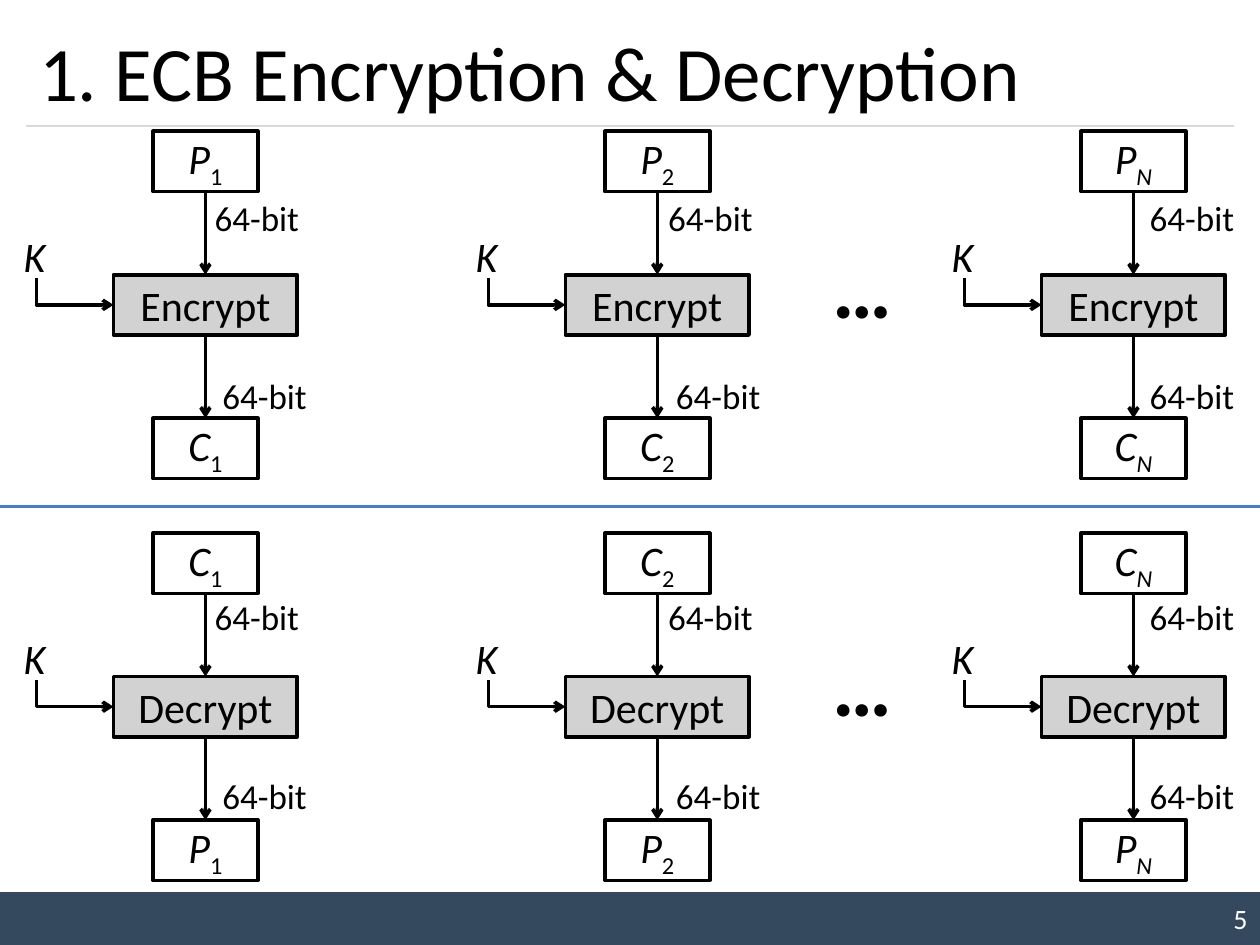
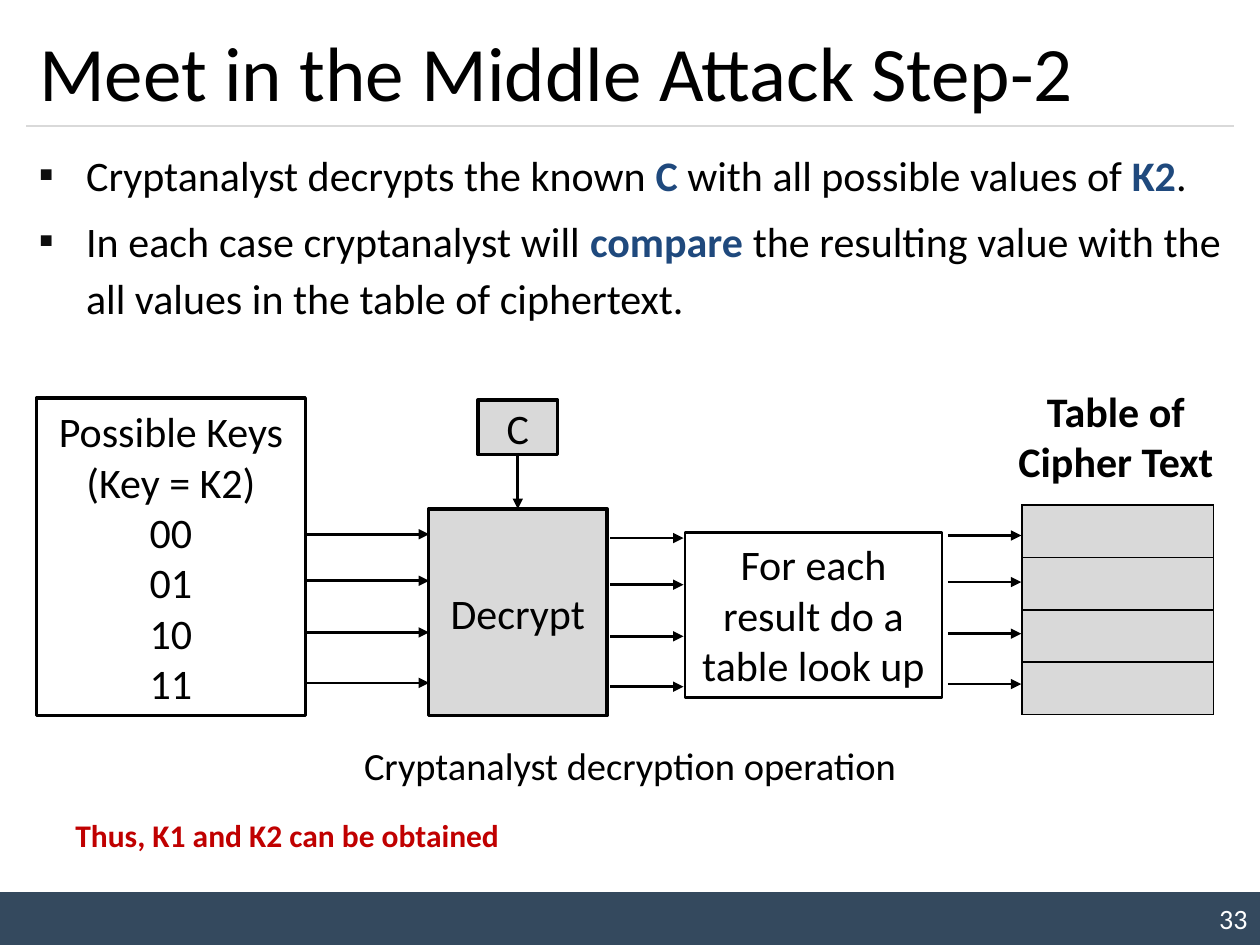
from pptx import Presentation
from pptx.dml.color import RGBColor
from pptx.enum.shapes import MSO_CONNECTOR, MSO_SHAPE
from pptx.enum.text import MSO_ANCHOR as Anchor, MSO_AUTO_SIZE, PP_ALIGN as Align
from pptx.oxml.ns import qn
from pptx.util import Pt
from lxml.etree import SubElement

# ---- Shared look ----
FONT = "Calibri"
BLACK = RGBColor(0, 0, 0)
WHITE = RGBColor(0xFF, 0xFF, 0xFF)
BAND = RGBColor(0x34, 0x49, 0x5E)
RULE = RGBColor(0xD9, 0xD9, 0xD9)
CIPHER_GREY = RGBColor(0xD3, 0xD2, 0xD2)
ATTACK_GREY = RGBColor(0xD9, 0xD9, 0xD9)
DIVIDER = RGBColor(0x4B, 0x7E, 0xBC)
NAVY = RGBColor(0x1F, 0x49, 0x7D)
RED = RGBColor(0xC0, 0, 0)
SLIDE_W, SLIDE_H = 720, 540
MARGIN, CONTENT_W = 15.12, 689.76

# ---- Content: ECB ----
ECB_TITLE = "1. ECB Encryption & Decryption"
ECB_HALVES = [
    dict(top=75, source="P", action="Encrypt", result="C", dots_top=130.3,
         width_tops=(108.6, 210.2)),
    dict(top=304.6, source="C", action="Decrypt", result="P", dots_top=357.8,
         width_tops=(337, 439)),
]
# index, centre of the column, left edges of its two bit-width labels
ECB_COLUMNS = [
    ("1", 117.4, (113, 117.4)),
    ("2", 375.6, (372.2, 376.6)),
    ("N", 647.7, (647.3, 647.3)),
]
BIT_WIDTH = "64-bit"
KEY = "K"
DOTS = "…"

# ---- Content: meet in the middle ----
ATTACK_TITLE = "Meet in the Middle Attack Step-2"
ATTACK_POINTS = [
    [("Cryptanalyst decrypts the known ", False), ("C", True),
     (" with all possible values of ", False), ("K2", True), (".", False)],
    [("In each case cryptanalyst will ", False), ("compare", True),
     (" the resulting value with the all values in the table of ciphertext.", False)],
]
POSSIBLE_KEYS = ["Possible Keys", "(Key = K2)", "00", "01", "10", "11"]
LOOK_UP = "For each result do a table look up"
TABLE_HEADING = "Table of Cipher Text"
CAPTION = "Cryptanalyst decryption operation"
CONCLUSION = "Thus, K1 and K2 can be obtained"
TABLE_ROWS = 4
ARROW_ROWS = [305.3, 331.9, 361.4, 390.2]
# from x, to x, drop below the row
ARROW_SETS = [(175.3, 245.2, 0), (348.8, 390.6, 2.2), (541.6, 583.6, 0.7)]


# ---- Helpers ----
def pts(*lengths):
    return [Pt(length) for length in lengths]


def add_run(paragraph, text, size, color=BLACK, bold=False, italic=False, sub=False):
    run = paragraph.add_run()
    run.text = text
    font = run.font
    font.name, font.size, font.bold, font.italic = FONT, Pt(size), bold, italic
    font.color.rgb = color
    if sub:
        run._r.get_or_add_rPr().set("baseline", "-25000")


def fill_text(frame, lines, size, align, anchor=Anchor.TOP, **style):
    """Each line is a string or a list of (text, run style) pairs."""
    frame.word_wrap = True
    frame.auto_size = MSO_AUTO_SIZE.NONE
    frame.vertical_anchor = anchor
    for number, line in enumerate(lines):
        paragraph = frame.add_paragraph() if number else frame.paragraphs[0]
        paragraph.alignment = align
        for text, own in ([(line, {})] if isinstance(line, str) else line):
            add_run(paragraph, text, size, **{**style, **own})


def add_label(slide, place, text, size, align=Align.CENTER, **style):
    label = slide.shapes.add_textbox(*pts(*place))
    fill_text(label.text_frame, [text], size, align, **style)


def add_box(slide, place, lines, fill=WHITE, line=BLACK, weight=2, size=24,
            align=Align.CENTER, anchor=Anchor.MIDDLE, **style):
    box = slide.shapes.add_shape(MSO_SHAPE.RECTANGLE, *pts(*place))
    box.shadow.inherit = False
    box.fill.solid()
    box.fill.fore_color.rgb = fill
    if line is None:
        box.line.fill.background()
    else:
        box.line.color.rgb = line
        box.line.width = Pt(weight)
    fill_text(box.text_frame, lines, size, align, anchor, **style)


def style_line(shape, color, weight, head=None):
    shape.line.color.rgb = color
    shape.line.width = Pt(weight)
    if head:
        SubElement(shape.line._get_or_add_ln(), qn("a:tailEnd"), type=head)


def add_line(slide, x1, y1, x2, y2, color=BLACK, weight=1.5, head=None):
    line = slide.shapes.add_connector(MSO_CONNECTOR.STRAIGHT, *pts(x1, y1, x2, y2))
    style_line(line, color, weight, head)
    SubElement(line._element.spPr, qn("a:effectLst"))


def start_slide(prs, title, number):
    slide = prs.slides.add_slide(prs.slide_layouts[5])
    add_box(slide, (0, 509.8, SLIDE_W, 30.2), [number], BAND, None, size=16,
            align=Align.RIGHT, color=WHITE)
    add_line(slide, MARGIN, 72, MARGIN + CONTENT_W, 72, RULE, 0.75)
    heading = slide.shapes.title
    heading.left, heading.top, heading.width, heading.height = pts(
        MARGIN, 8.64, CONTENT_W, 63.36)
    fill_text(heading.text_frame, [title], 44, Align.LEFT, Anchor.MIDDLE)
    return slide


# ---- ECB slide ----
BLOCK_W, ACTION_W, BLOCK_H, STEP = 60, 105, 34.5, 82


def add_cipher(slide, half, index, centre, width_lefts):
    def block(letter):
        return [[(letter, dict(italic=True)),
                 (index, dict(sub=True, italic=index == "N"))]]

    tops = [half["top"] + STEP * row for row in range(3)]
    stages = [(block(half["source"]), BLOCK_W, WHITE),
              ([half["action"]], ACTION_W, CIPHER_GREY),
              (block(half["result"]), BLOCK_W, WHITE)]
    for top, (lines, width, fill) in zip(tops, stages):
        add_box(slide, (centre - width / 2, top, width, BLOCK_H), lines, fill)
    for above, below in zip(tops, tops[1:]):
        add_line(slide, centre, above + BLOCK_H, centre, below, weight=2, head="arrow")

    # Key and its elbow arrow into the cipher
    key_x, key_y, action_y = centre - 96.5, tops[1] + 2, tops[1] + BLOCK_H / 2
    elbow = slide.shapes.build_freeform(*pts(key_x, key_y))
    elbow.add_line_segments([pts(key_x, action_y),
                             pts(centre - ACTION_W / 2, action_y)], close=False)
    key_arrow = elbow.convert_to_shape()
    key_arrow.shadow.inherit = False
    key_arrow.fill.background()
    style_line(key_arrow, BLACK, 2, "arrow")
    add_label(slide, (centre - 110.9, tops[1] - 28.6, 28, 36), KEY, 24,
              Align.LEFT, italic=True)

    for left, top in zip(width_lefts, half["width_tops"]):
        add_label(slide, (left, top, 67.7, 31.7), BIT_WIDTH, 20)


def build_ecb(prs):
    slide = start_slide(prs, ECB_TITLE, "5")
    for half in ECB_HALVES:
        for column in ECB_COLUMNS:
            add_cipher(slide, half, *column)
        add_label(slide, (468.7, half["dots_top"], 51.1, 65.5), DOTS, 48,
                  Align.LEFT, bold=True)
    add_line(slide, 0, 289.4, SLIDE_W, 289.4, DIVIDER)


# ---- Meet-in-the-middle slide ----
def add_points(slide):
    body = slide.shapes.add_textbox(*pts(MARGIN, 77.8, CONTENT_W, 115.2))
    lines = [[(text, dict(color=NAVY, bold=True) if key else {}) for text, key in point]
             for point in ATTACK_POINTS]
    fill_text(body.text_frame, lines, 24, Align.JUSTIFY)
    for number, paragraph in enumerate(body.text_frame.paragraphs):
        paragraph.line_spacing = 1.14
        if number:
            paragraph.space_before = Pt(4.8)
        props = paragraph._p.get_or_add_pPr()
        props.set("marL", str(Pt(27)))
        props.set("indent", str(Pt(-27)))
        SubElement(SubElement(props, qn("a:buClr")), qn("a:srgbClr"), val="0D0D0D")
        SubElement(props, qn("a:buFont"), typeface=FONT)
        SubElement(props, qn("a:buChar"), char="▪")


def add_cipher_table(slide):
    frame = slide.shapes.add_table(TABLE_ROWS, 1, *pts(583.9, 288.7, 109.4, 119.6))
    table = frame.table
    table.first_row = table.horz_banding = False
    for row in table.rows:
        cell = row.cells[0]
        props = cell._tc.get_or_add_tcPr()
        for side in ("lnL", "lnR", "lnT", "lnB"):
            border = SubElement(props, qn(f"a:{side}"), w=str(Pt(1)))
            SubElement(SubElement(border, qn("a:solidFill")), qn("a:srgbClr"),
                       val=str(BLACK))
        cell.fill.solid()
        cell.fill.fore_color.rgb = ATTACK_GREY


def build_attack(prs):
    slide = start_slide(prs, ATTACK_TITLE, "33")
    add_cipher_table(slide)
    add_points(slide)

    # Boxes from the keys to the table
    add_box(slide, (20.9, 227.5, 153.6, 181.4), POSSIBLE_KEYS)
    add_box(slide, (273.2, 228.5, 45.4, 31.2), ["C"], ATTACK_GREY)
    add_box(slide, (244.8, 290.9, 102.2, 118), ["Decrypt"], ATTACK_GREY)
    add_box(slide, (391.4, 304.3, 146.9, 94.5), [LOOK_UP], weight=1.5, anchor=Anchor.TOP)

    # Arrows
    add_line(slide, 295.9, 259.8, 295.9, 290.9, head="triangle")
    for start, end, drop in ARROW_SETS:
        for y in ARROW_ROWS:
            add_line(slide, start, y + drop, end, y + drop, head="triangle")

    # Labels
    add_label(slide, (571, 216.7, 133.2, 65.5), TABLE_HEADING, 24, bold=True)
    add_label(slide, (200.2, 420.5, 319.7, 33.8), CAPTION, 22)
    add_label(slide, (36, 463, 666, 28.8), CONCLUSION, 18, Align.JUSTIFY,
              color=RED, bold=True)


def main():
    prs = Presentation()
    prs.slide_width, prs.slide_height = pts(SLIDE_W, SLIDE_H)
    build_ecb(prs)
    build_attack(prs)
    prs.save("out.pptx")


if __name__ == "__main__":
    main()
